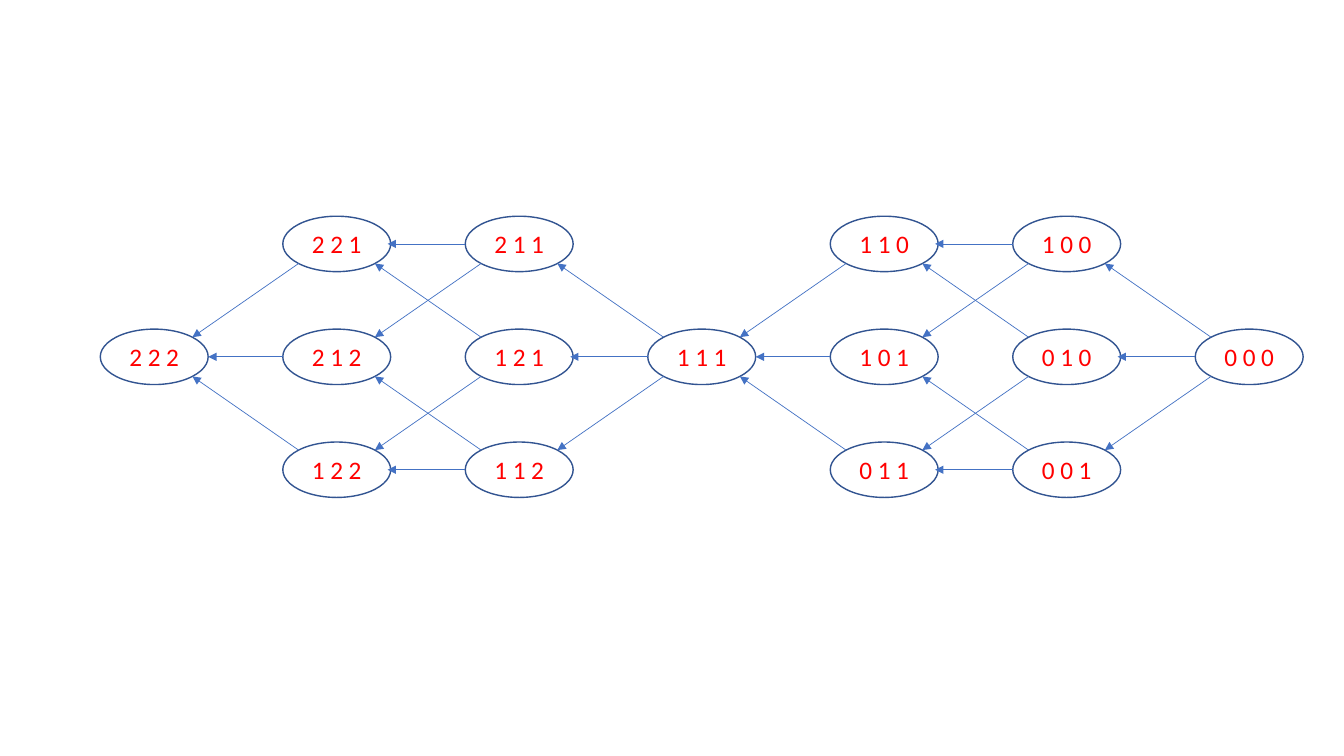
from itertools import product
from math import sqrt

from lxml import etree
from pptx import Presentation
from pptx import util as u
from pptx.dml.color import RGBColor
from pptx.enum import shapes, text
from pptx.oxml.ns import qn

SLIDE_WIDTH, SLIDE_HEIGHT = 13.33, 7.5
STATE_COLUMNS = [
    ["222"],
    ["221", "212", "122"],
    ["211", "121", "112"],
    ["111"],
    ["110", "101", "011"],
    ["100", "010", "001"],
    ["000"],
]
FIRST_X, COLUMN_PITCH = 1.53, 1.81
MIDDLE_Y, ROW_PITCH = 3.54, 1.12
STATE_WIDTH, STATE_HEIGHT = 1.07, 0.55
ARROW_OVERLAP = 0.03


def set_color(color_format, hex_color):
    color_format.rgb = RGBColor.from_string(hex_color)


def style_line(line, hex_color, points):
    line.fill.solid()
    set_color(line.fill.fore_color, hex_color)
    line.width = u.Pt(points)


def state_centers():
    centers = {}
    for column, states in enumerate(STATE_COLUMNS):
        for row, state in enumerate(states):
            offset = row - (len(states) - 1) / 2
            centers[state] = (FIRST_X + column * COLUMN_PITCH,
                              MIDDLE_Y + offset * ROW_PITCH)
    return centers


def is_step(source, target):
    changes = [int(after) - int(before) for before, after in zip(source, target)]
    return sorted(changes) == [0, 0, 1]


def add_state(slide, state, center):
    x, y = center
    shape = slide.shapes.add_shape(
        shapes.MSO_SHAPE.OVAL,
        u.Inches(x - STATE_WIDTH / 2), u.Inches(y - STATE_HEIGHT / 2),
        u.Inches(STATE_WIDTH), u.Inches(STATE_HEIGHT))
    shape.shadow.inherit = False
    shape.fill.background()
    style_line(shape.line, "325491", 1)
    frame = shape.text_frame
    frame.word_wrap = False
    frame.vertical_anchor = text.MSO_ANCHOR.MIDDLE
    paragraph = frame.paragraphs[0]
    paragraph.alignment = text.PP_ALIGN.CENTER
    run = paragraph.add_run()
    run.text = " ".join(state)
    run.font.name = "Calibri"
    run.font.size = u.Pt(18)
    set_color(run.font.color, "FF0000")


def arrow_ends(start, end, overlap):
    (start_x, start_y), (end_x, end_y) = start, end
    if start_y == end_y:
        reach = STATE_WIDTH / 2
        return start_x - reach, start_y, end_x + reach - overlap, end_y
    direction = 1 if end_y > start_y else -1
    reach_x = STATE_WIDTH / 2 / sqrt(2)
    reach_y = direction * STATE_HEIGHT / 2 / sqrt(2)
    return start_x - reach_x, start_y + reach_y, end_x + reach_x, end_y - reach_y


def add_arrow(slide, start, end, overlap):
    ends = [u.Inches(value) for value in arrow_ends(start, end, overlap)]
    arrow = slide.shapes.add_connector(shapes.MSO_CONNECTOR.STRAIGHT, *ends)
    style_line(arrow.line, "4472C4", 0.5)
    properties = arrow._element.spPr
    etree.SubElement(properties.find(qn("a:ln")), qn("a:tailEnd"), type="triangle")
    etree.SubElement(properties, qn("a:effectLst"))


def main():
    presentation = Presentation()
    presentation.slide_width = u.Inches(SLIDE_WIDTH)
    presentation.slide_height = u.Inches(SLIDE_HEIGHT)
    slide = presentation.slides.add_slide(presentation.slide_layouts[6])
    centers = state_centers()
    for state, center in centers.items():
        add_state(slide, state, center)
    for source, target in product(centers, repeat=2):
        if is_step(source, target):
            overlap = 0 if [target] in STATE_COLUMNS else ARROW_OVERLAP
            add_arrow(slide, centers[source], centers[target], overlap)
    presentation.save("out.pptx")


main()
